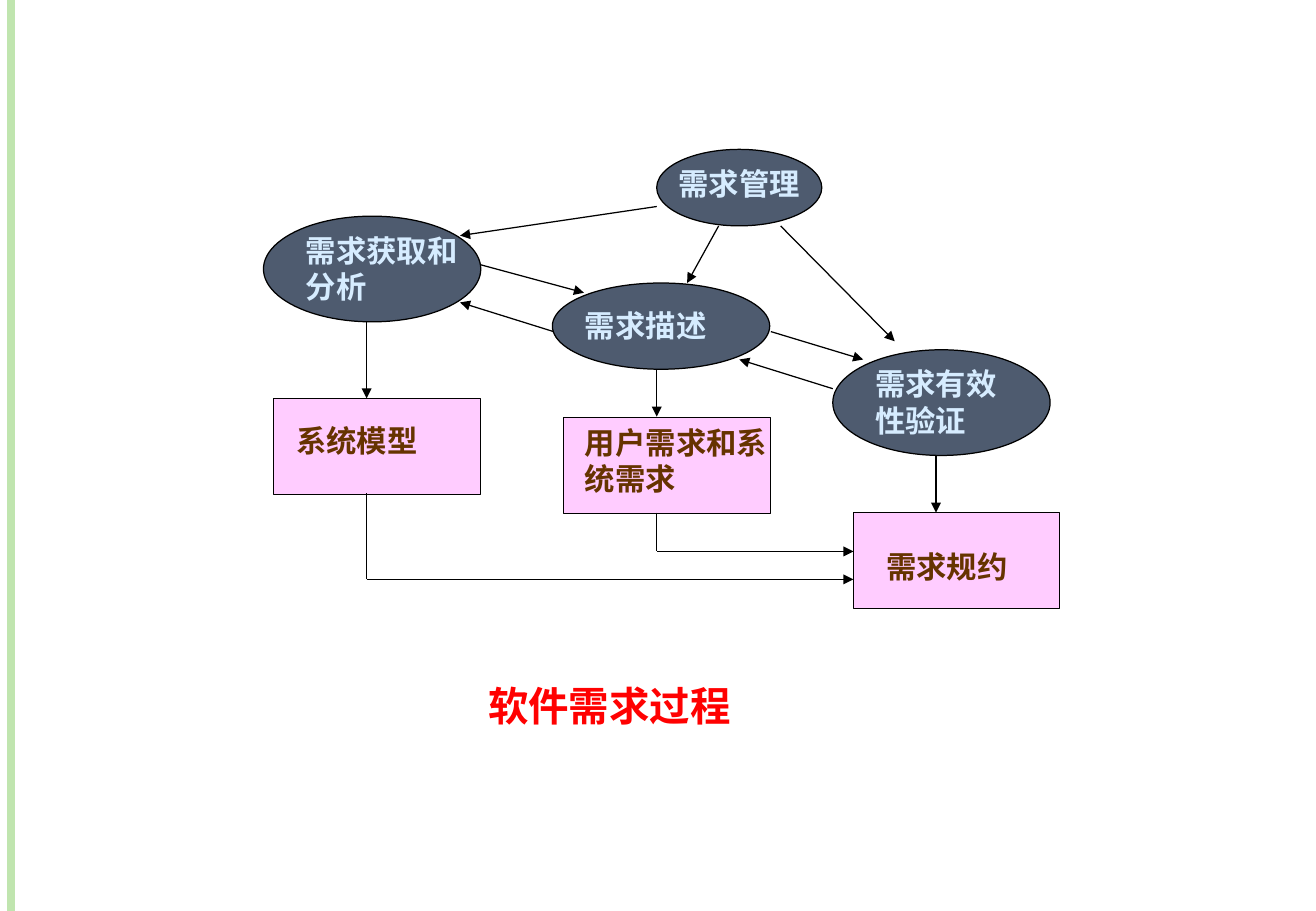
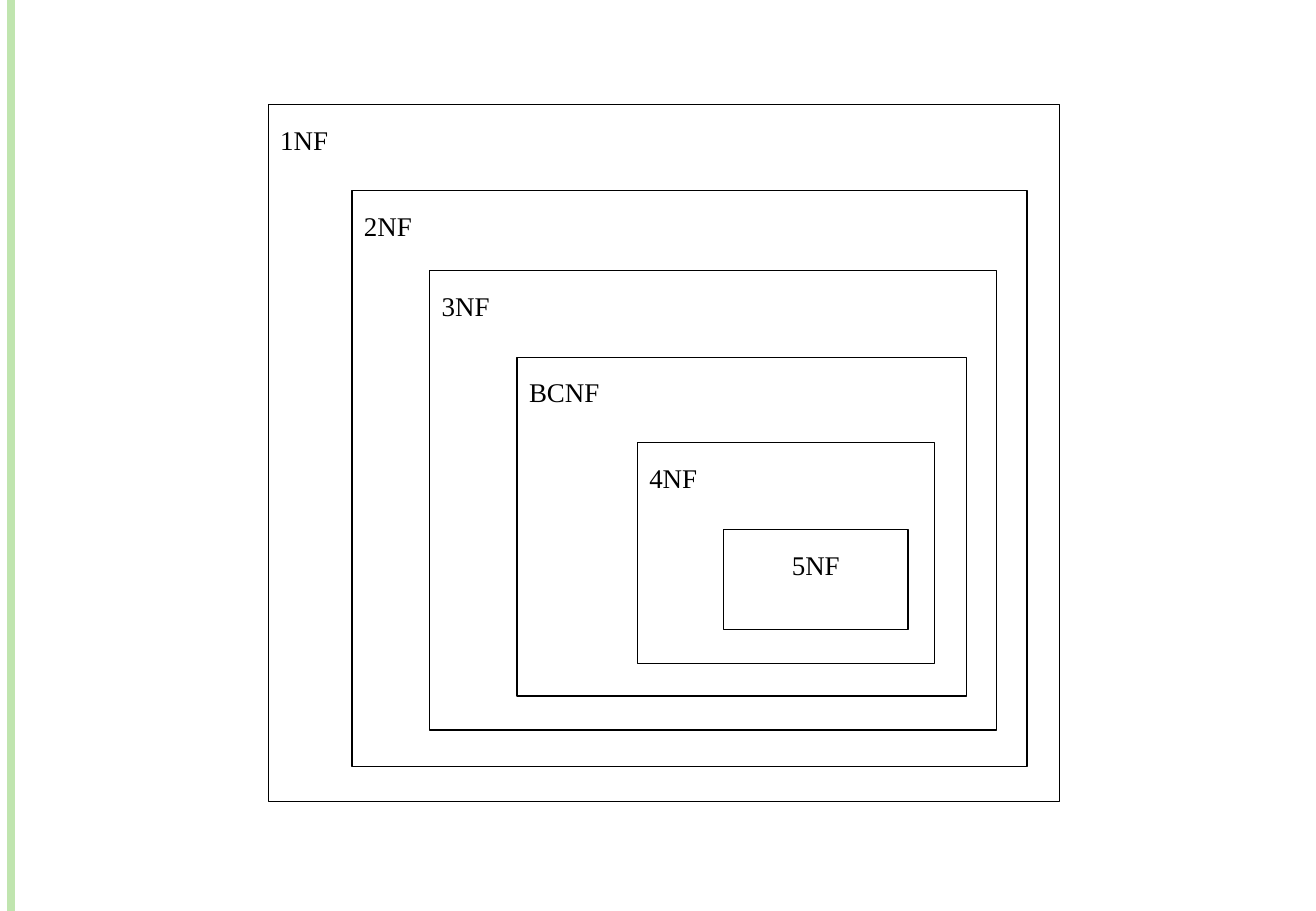
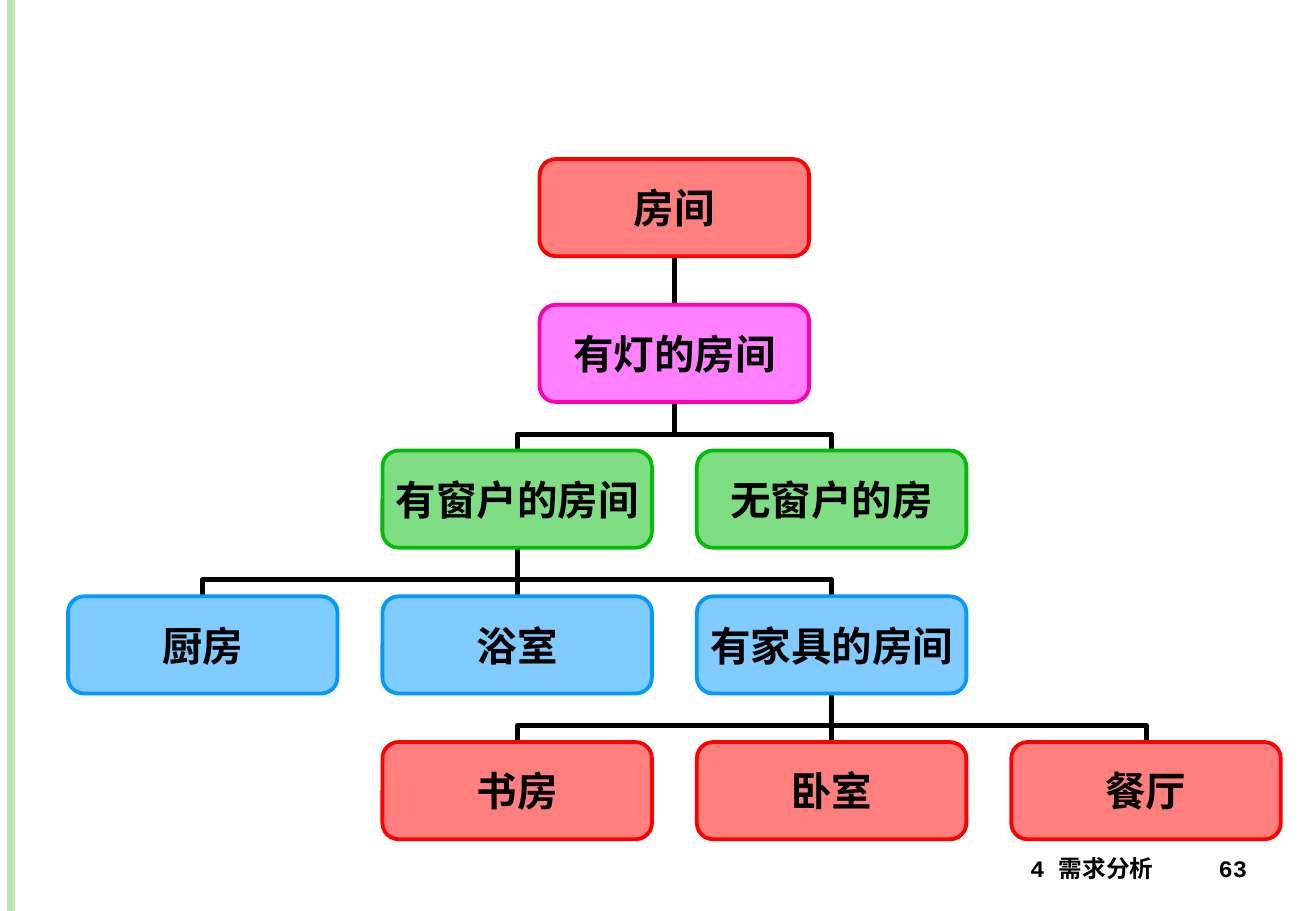
from dataclasses import dataclass

from lxml import etree
from pptx import Presentation
from pptx import util as u
from pptx.dml.color import RGBColor
from pptx.enum import shapes, text
from pptx.oxml.ns import qn

KIND = shapes.MSO_SHAPE
LINK = shapes.MSO_CONNECTOR
ALIGN = text.PP_ALIGN


@dataclass(frozen=True)
class Theme:
    """Colours, fonts and sizes shared by all slides."""

    ink: str = "000000"
    paper: str = "FFFFFF"
    stripe: str = "C0E5AF"
    slate: str = "4E5B6F"
    ice: str = "D6ECFF"
    pink: str = "FFCCFF"
    brown: str = "663300"
    title: str = "FF0101"
    red: str = "FF0000"
    violet: str = "FF00FF"
    rose: str = "FF00AD"
    green: str = "01BD0A"
    blue: str = "0399FF"
    sans: str = "Arial"
    body: str = "Cabin"
    serif: str = "Times New Roman"
    mono: str = "Courier New"
    big: int = 24
    mid: int = 18
    form: int = 16
    small: int = 14
    thin: float = 0.75
    edge: float = 2.25
    bold: float = 3
    band: float = 4.5


T = Theme()


def inches(*nums):
    """Turn numbers into lengths."""
    return [u.Inches(n) for n in nums]


def write(frame, words, font, size, color, bold=True, align=ALIGN.LEFT):
    """Write one formatted paragraph and return it."""
    frame.text = words
    para = frame.paragraphs[0]
    para.alignment = align
    para.font.name = font
    para.font.size = u.Pt(size)
    para.font.bold = bold
    para.font.color.rgb = RGBColor.from_string(color)
    return para


def label(slide, box, words, *style, **more):
    """Add a wrapping text box."""
    frame = slide.shapes.add_textbox(*inches(*box)).text_frame
    frame.word_wrap = True
    write(frame, words, *style, **more)


def block(slide, kind, box, fill, edge=T.ink, width=T.thin):
    """Add a filled, outlined shape."""
    shape = slide.shapes.add_shape(kind, *inches(*box))
    shape.shadow.inherit = False
    shape.fill.solid()
    shape.fill.fore_color.rgb = RGBColor.from_string(fill)
    shape.line.color.rgb = RGBColor.from_string(edge)
    shape.line.width = u.Pt(width)
    return shape


def wire(slide, ends, color=T.ink, width=T.thin, head=False, kind=LINK.STRAIGHT):
    """Add a connector, with an arrowhead at its end if wanted."""
    line = slide.shapes.add_connector(kind, *inches(*ends))
    line.line.color.rgb = RGBColor.from_string(color)
    line.line.width = u.Pt(width)
    props = line.element.spPr
    if head:
        etree.SubElement(props.find(qn("a:ln")), qn("a:tailEnd"), type="triangle")
    etree.SubElement(props, qn("a:effectLst"))
    return line


def brand(prs, slide):
    """Put the side stripe on the slide master."""
    line = wire(slide, (0.09, 0, 0.09, 7.5), T.stripe, T.band)
    prs.slide_master.element.cSld.spTree.append(line.element)


def heading(slide, box, words):
    """Move and format the title placeholder."""
    title = slide.shapes.title
    title.left, title.top, title.width, title.height = inches(*box)
    frame = title.text_frame
    frame.auto_size = text.MSO_AUTO_SIZE.NONE
    frame.vertical_anchor = text.MSO_ANCHOR.TOP
    write(frame, words, T.body, T.big, T.title)


def process(slide, left, top):
    """Draw the requirements process from its top left corner."""
    oval = KIND.OVAL, T.slate, T.ice
    rect = KIND.RECTANGLE, T.pink, T.brown
    nodes = [
        ("需求获取和分析", oval, (0, 0.55, 1.79, 0.87), (0.25, 0.08, 1.45, 0.7), T.body),
        ("需求描述", oval, (2.38, 1.1, 1.79, 0.71), (0.17, 0.15, 1.62, 0.4), T.body),
        ("需求有效性验证", oval, (4.69, 1.65, 1.79, 0.87), (0.25, 0.08, 1.37, 0.7), T.body),
        ("系统模型", rect, (0.08, 2.05, 1.71, 0.79), (0.09, 0.15, 1.45, 0.4), T.body),
        ("用户需求和系统需求", rect, (2.47, 2.21, 1.71, 0.79), (0.08, 0, 1.79, 0.7), T.body),
        ("需求规约", rect, (4.86, 2.99, 1.7, 0.79), (0.17, 0.24, 1.45, 0.4), T.body),
        ("需求管理", oval, (3.24, 0, 1.36, 0.63), (0.08, 0.08, 1.45, 0.4), T.sans),
    ]
    for words, (kind, fill, color), (x, y, w, h), (dx, dy, tw, th), font in nodes:
        x, y = left + x, top + y
        block(slide, kind, (x, y, w, h), fill)
        label(slide, (x + dx, y + dy, tw, th), words, font, T.mid, color)
    arrows = [
        (0.85, 1.42, 0.85, 2.05),
        (3.24, 1.81, 3.24, 2.2),
        (5.54, 2.52, 5.54, 2.99),
        (3.24, 3.31, 4.86, 3.31),
        (0.85, 3.54, 4.86, 3.54),
        (3.24, 0.47, 1.62, 0.71),
        (3.75, 0.63, 3.49, 1.1),
        (4.26, 0.63, 5.2, 1.58),
        (1.79, 0.95, 2.64, 1.18),
        (4.18, 1.5, 4.94, 1.73),
        (2.39, 1.5, 1.62, 1.26),
        (4.69, 1.97, 3.92, 1.73),
    ]
    stems = [(3.24, 2.99, 3.24, 3.31), (0.85, 2.83, 0.85, 3.54)]
    for group, head in ((arrows, True), (stems, False)):
        for x1, y1, x2, y2 in group:
            wire(slide, (left + x1, top + y1, left + x2, top + y2), head=head)


def nest(slide, left, top):
    """Draw the nested normal forms from their top left corner."""
    forms = [
        ("1NF", 0, 0, 6.52, 5.74),
        ("2NF", 0.69, 0.71, 5.56, 4.74),
        ("3NF", 1.33, 1.37, 4.67, 3.78),
        ("BCNF", 2.05, 2.08, 3.7, 2.79),
        ("4NF", 3.04, 2.78, 2.45, 1.82),
        ("5NF", 3.75, 3.5, 1.52, 0.82),
    ]
    for words, x, y, w, h in forms:
        shape = block(slide, KIND.RECTANGLE, (left + x, top + y, w, h), T.paper)
        frame = shape.text_frame
        frame.vertical_anchor = text.MSO_ANCHOR.TOP
        align = ALIGN.CENTER if words == "5NF" else ALIGN.JUSTIFY
        para = write(frame, words, T.serif, T.form, T.ink, False, align)
        para.line_spacing = 1.4
        para.space_after = u.Pt(4)


def card(slide, box, words, fill, edge):
    """Add a half-transparent rounded tree node."""
    shape = block(slide, KIND.ROUNDED_RECTANGLE, box, fill, edge, T.edge)
    color = shape.element.spPr.find(qn("a:solidFill"))[0]
    etree.SubElement(color, qn("a:alpha"), val="50000")
    frame = shape.text_frame
    frame.word_wrap = False
    frame.vertical_anchor = text.MSO_ANCHOR.MIDDLE
    frame.margin_left = frame.margin_right = 0
    frame.margin_top = frame.margin_bottom = 0
    write(frame, words, T.sans, T.big, T.ink, align=ALIGN.CENTER)
    return shape


def branch(slide, node, child):
    """Join a node's bottom to a child's top, behind both."""
    x1, y1 = node.left + node.width // 2, node.top + node.height
    x2, y2 = child.left + child.width // 2, child.top
    across, down = abs(x2 - x1), y2 - y1
    straight = across < u.Inches(0.02)
    kind = LINK.STRAIGHT if straight else LINK.ELBOW
    line = wire(slide, (0, 0, 1, 1), width=T.bold, kind=kind)
    line.begin_connect(node, 2)
    line.end_connect(child, 0)
    if not straight:
        line.left = (x1 + x2 - down) // 2
        line.top = (y1 + y2 - across) // 2
        line.width, line.height = down, across
        right = x2 > x1
        props = line.element.spPr
        frame = props.find(qn("a:xfrm"))
        frame.set("rot", "16200000" if right else "5400000")
        frame.set("flipH", "1" if right else "0")
        frame.set("flipV", "0")
        guides = props.find(qn("a:prstGeom")).find(qn("a:avLst"))
        etree.SubElement(guides, qn("a:gd"), name="adj1", fmla="val 66100")
    slide.shapes.element.insert(2, line.element)


def tree(slide, left, top):
    """Draw the room tree on a grid from its top left corner."""
    red, blue, green = [(c, c) for c in (T.red, T.blue, T.green)]
    rooms = [
        ("房间", 1.5, 0, red, None),
        ("有灯的房间", 1.5, 1, (T.violet, T.rose), "房间"),
        ("有窗户的房间", 1, 2, green, "有灯的房间"),
        ("无窗户的房", 2, 2, green, "有灯的房间"),
        ("厨房", 0, 3, blue, "有窗户的房间"),
        ("浴室", 1, 3, blue, "有窗户的房间"),
        ("有家具的房间", 2, 3, blue, "有窗户的房间"),
        ("书房", 1, 4, red, "有家具的房间"),
        ("卧室", 2, 4, red, "有家具的房间"),
        ("餐厅", 3, 4, red, "有家具的房间"),
    ]
    cards = {}
    for words, col, row, paint, owner in rooms:
        box = left + 2.59 * col, top + 1.2 * row, 2.22, 0.8
        cards[words] = card(slide, box, words, *paint)
        if owner:
            branch(slide, cards[owner], cards[words])


def footer(slide, left, top, words, page):
    """Add the chapter name and page number."""
    style = T.mono, T.small, T.ink
    label(slide, (left, top, 3.43, 0.36), words, *style, align=ALIGN.RIGHT)
    label(slide, (left + 3.43, top, 0.77, 0.36), page, *style, align=ALIGN.RIGHT)


def main():
    """Build and save the slides."""
    prs = Presentation()
    prs.slide_width, prs.slide_height = inches(10.84, 7.5)
    flow, forms, rooms = [
        prs.slides.add_slide(prs.slide_layouts[n]) for n in (5, 6, 6)
    ]
    brand(prs, flow)
    heading(flow, (3.92, 5.56, 3.49, 0.5), "软件需求过程")
    process(flow, 2.17, 1.23)
    nest(forms, 2.21, 0.86)
    tree(rooms, 0.56, 1.31)
    footer(rooms, 6.17, 6.98, "4 需求分析", "63")
    prs.save("out.pptx")


if __name__ == "__main__":
    main()
